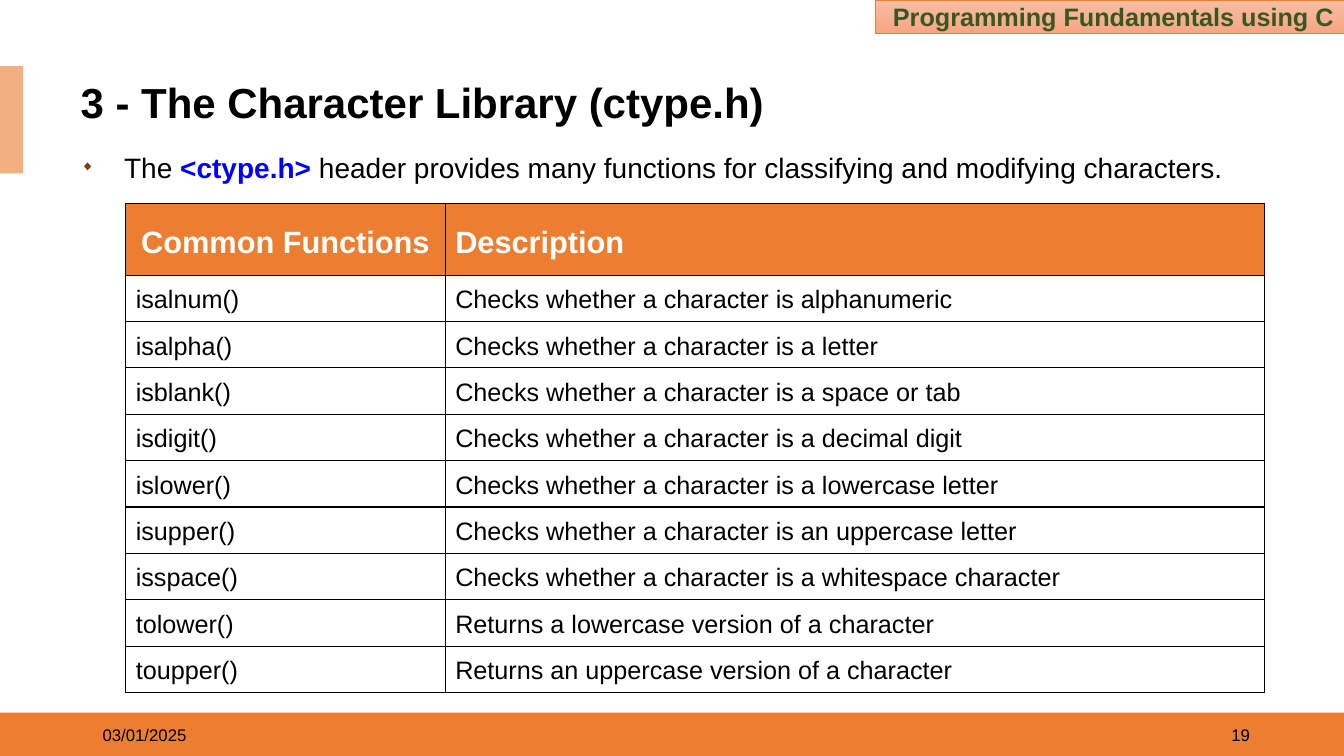
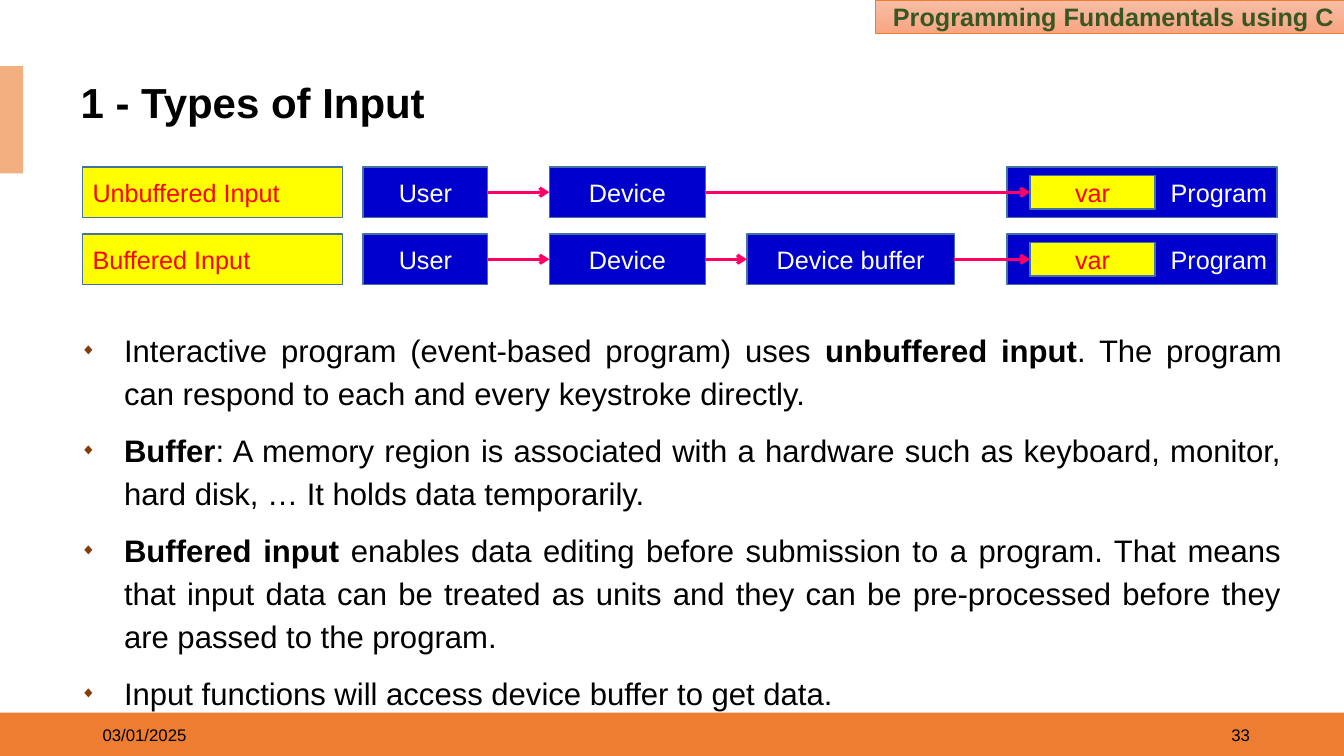
from dataclasses import dataclass
from itertools import product

from lxml import etree
from pptx import Presentation
from pptx.dml.color import RGBColor
from pptx.enum.shapes import MSO_CONNECTOR, MSO_SHAPE
from pptx.enum.text import MSO_ANCHOR, MSO_AUTO_SIZE, PP_ALIGN
from pptx.oxml.ns import qn
from pptx.util import Pt


@dataclass(frozen=True)
class Theme:
    font: str = "Arial"
    black: str = "000000"
    white: str = "FFFFFF"
    orange: str = "ED7D31"
    accent: str = "F4AF80"
    banner: tuple = ("F7BDA5", "F8A582")
    green: str = "385723"
    bullet: str = "843C0B"
    code: str = "0000FF"
    box: str = "0000CC"
    box_line: str = "43739E"
    yellow: str = "FFFF00"
    red: str = "FF0000"
    arrow: str = "FF0066"
    title_size: float = 30
    head_size: float = 22
    label_size: float = 18
    footer_size: float = 12


T = Theme()

# Content
COURSE = "Programming Fundamentals using C"
DATE = "03/01/2025"
BOLD = {"bold": True}

LIBRARY = {
    "title": "3 - The Character Library (ctype.h)",
    "number": "19",
    "body": [["The ", ("<ctype.h> ", {"bold": True, "color": T.code}),
              "header provides many functions for classifying and modifying characters."]],
    "format": {"size": 20, "spacing": 1.3},
    "area": (96.5, 403),
}
FUNCTIONS = [
    ("Common Functions", "Description"),
    ("isalnum()", "Checks whether a character is alphanumeric"),
    ("isalpha()", "Checks whether a character is a letter"),
    ("isblank()", "Checks whether a character is a space or tab"),
    ("isdigit()", "Checks whether a character is a decimal digit"),
    ("islower()", "Checks whether a character is a lowercase letter"),
    ("isupper()", "Checks whether a character is an uppercase letter"),
    ("isspace()", "Checks whether a character is a whitespace character"),
    ("tolower()", "Returns a lowercase version of a character"),
    ("toupper()", "Returns an uppercase version of a character"),
]

INPUT = {
    "title": "1 - Types of Input",
    "number": "33",
    "body": [
        ["Interactive program (event-based program) uses ", ("unbuffered input", BOLD),
         ". The program can respond to each and every keystroke directly."],
        [("Buffer", BOLD), ": A memory region is associated with a hardware such as keyboard, "
         "monitor, hard disk, … It holds data temporarily."],
        [("Buffered input", BOLD), " enables data editing before submission to a program. "
         "That means that input data can be treated as units and they can be pre-processed "
         "before they are passed to the program."],
        ["Input functions will access device buffer to get data."],
    ],
    "format": {"size": 22.2, "spacing": 1.15},
    "area": (229.5, 277),
}
# Left edge and width of each stage of the diagram
STAGES = {
    "User": (259.2, 89.3),
    "Device": (392.4, 111.6),
    "Device buffer": (533.5, 148.3),
    "Program": (719.3, 193),
    "var": (735.8, 89.3),
}
FLOWS = [
    ("Unbuffered Input", ["User", "Device", "Program", "var"]),
    ("Buffered Input", ["User", "Device", "Device buffer", "Program", "var"]),
]


def rgb(value):
    return RGBColor.from_string(value)


def write(tf, paragraphs, size=T.label_size, color=T.black, bold=False,
          align=PP_ALIGN.LEFT, anchor=MSO_ANCHOR.MIDDLE, spacing=1.0, before=0, bullet=False):
    """Fill a text frame; a run is a string or a (string, overrides) pair."""
    tf.word_wrap = True
    tf.vertical_anchor = anchor
    for i, runs in enumerate(paragraphs):
        p = tf.paragraphs[0] if i == 0 else tf.add_paragraph()
        p.alignment, p.line_spacing = align, spacing
        p.space_before = Pt(before if i else 0)
        if bullet:
            add_bullet(p)
        for item in runs:
            text, change = (item, {}) if isinstance(item, str) else item
            r = p.add_run()
            r.text = text
            r.font.name, r.font.size = T.font, Pt(size)
            r.font.bold = change.get("bold", bold)
            r.font.color.rgb = rgb(change.get("color", color))


def add_bullet(p):
    pPr = p._p.get_or_add_pPr()
    pPr.set("marL", str(Pt(31)))
    pPr.set("indent", str(-Pt(31)))
    color = etree.SubElement(pPr, qn("a:buClr"))
    etree.SubElement(color, qn("a:srgbClr"), val=T.bullet)
    etree.SubElement(pPr, qn("a:buSzPct"), val="50000")
    etree.SubElement(pPr, qn("a:buFont"), typeface=T.font)
    etree.SubElement(pPr, qn("a:buChar"), char="◆")


def place(shape, *box):
    shape.left, shape.top, shape.width, shape.height = map(Pt, box)


def add_box(s, box, fill, line=None, width=1, text=None, **fmt):
    sp = s.shapes.add_shape(MSO_SHAPE.RECTANGLE, *map(Pt, box))
    sp.shadow.inherit = False
    if isinstance(fill, tuple):
        sp.fill.gradient()
        sp.fill.gradient_angle = 270
        for stop, color in zip(sp.fill.gradient_stops, fill):
            stop.color.rgb = rgb(color)
    else:
        sp.fill.solid()
        sp.fill.fore_color.rgb = rgb(fill)
    if line:
        sp.line.color.rgb = rgb(line)
        sp.line.width = Pt(width)
    else:
        sp.line.fill.background()
    if text:
        write(sp.text_frame, [[text]], **fmt)
    return sp


def add_arrow(s, x1, x2, y):
    c = s.shapes.add_connector(MSO_CONNECTOR.STRAIGHT, Pt(x1), Pt(y), Pt(x2), Pt(y))
    c.line.color.rgb = rgb(T.arrow)
    c.line.width = Pt(2.25)
    spPr = c.element.spPr
    etree.SubElement(spPr.find(qn("a:ln")), qn("a:tailEnd"), type="arrow")
    etree.SubElement(spPr, qn("a:effectLst"))


def dress_layout(layout, s):
    """Move the shared bands, drawn on a slide, to the layout."""
    for ph in list(layout.placeholders):
        if ph.placeholder_format.idx > 1:
            ph.element.getparent().remove(ph.element)
    place(layout.placeholders[0], 50.4, 57, 872.6, 36.5)
    bands = [
        add_box(s, (0, 509, 960, 31), T.orange),
        add_box(s, (0, 47.3, 16.5, 76.5), T.accent),
        add_box(s, (625.5, 0, 334.5, 24), T.banner, line=T.orange, width=0.5, text=COURSE,
                color=T.green, bold=True, align=PP_ALIGN.RIGHT),
    ]
    for band in bands:
        layout.shapes.element.append(band.element)


def fill_slide(s, content):
    """Title, bulleted body, date and slide number."""
    write(s.shapes.title.text_frame, [[content["title"]]], size=T.title_size, bold=True,
          spacing=0.9)
    body = s.placeholders[1]
    top, height = content["area"]
    place(body, 50.4, top, 872.6, height)
    write(body.text_frame, content["body"], align=PP_ALIGN.JUSTIFY, anchor=MSO_ANCHOR.TOP,
          before=10, bullet=True, **content["format"])
    for ph in (s.shapes.title, body):
        ph.text_frame.auto_size = MSO_AUTO_SIZE.NONE
    for left, text, align in ((66.2, DATE, PP_ALIGN.LEFT),
                              (684, content["number"], PP_ALIGN.RIGHT)):
        box = s.shapes.add_textbox(Pt(left), Pt(510.5), Pt(216), Pt(28.8))
        write(box.text_frame, [[text]], size=T.footer_size, align=align)


def set_borders(cell):
    tcPr = cell._tc.get_or_add_tcPr()
    for side in ("lnL", "lnR", "lnT", "lnB"):
        ln = etree.SubElement(tcPr, qn(f"a:{side}"), w=str(Pt(1)))
        fill = etree.SubElement(ln, qn("a:solidFill"))
        etree.SubElement(fill, qn("a:srgbClr"), val=T.black)


def add_function_table(s):
    widths = (228.2, 585.4)
    heights = [51] + [32.9] * (len(FUNCTIONS) - 1)
    table = s.shapes.add_table(len(heights), len(widths), Pt(89.8), Pt(145.5),
                               Pt(sum(widths)), Pt(sum(heights))).table
    table.first_row = table.horz_banding = False
    for column, width in zip(table.columns, widths):
        column.width = Pt(width)
    for row, height in zip(table.rows, heights):
        row.height = Pt(height)
    for i, j in product(range(len(heights)), range(len(widths))):
        cell = table.cell(i, j)
        head = i == 0
        set_borders(cell)
        cell.fill.solid()
        cell.fill.fore_color.rgb = rgb(T.orange if head else T.white)
        anchor = MSO_ANCHOR.MIDDLE if head else MSO_ANCHOR.TOP
        write(cell.text_frame, [[FUNCTIONS[i][j]]], bold=head, spacing=1.2,
              size=T.head_size if head else T.label_size,
              color=T.white if head else T.black,
              align=PP_ALIGN.CENTER if head and j == 0 else PP_ALIGN.LEFT)
        cell.vertical_anchor = anchor


def add_flow_diagram(s):
    height, pitch, inset = 36, 47.9, 6
    for i, (label, names) in enumerate(FLOWS):
        top = 119.3 + i * pitch
        add_box(s, (59, top, 185.8, height), T.yellow, T.box_line, text=label, color=T.red)
        for name in names:
            left, width = STAGES[name]
            inner = name == "var"
            pad = inset if inner else 0
            add_box(s, (left, top + pad, width, height - 2 * pad),
                    T.yellow if inner else T.box, T.box_line, text=name,
                    color=T.red if inner else T.white,
                    align=PP_ALIGN.RIGHT if name == "Program" else PP_ALIGN.CENTER)
        # Arrows run past the program's edge to its variable
        stops = [STAGES[name] for name in names if name != "Program"]
        for (left, width), (target, _) in zip(stops, stops[1:]):
            add_arrow(s, left + width, target, top + height / 2)


def main():
    prs = Presentation()
    prs.slide_width, prs.slide_height = Pt(960), Pt(540)
    layout = prs.slide_layouts[1]
    pages = ((LIBRARY, add_function_table), (INPUT, add_flow_diagram))
    for i, (content, draw) in enumerate(pages):
        s = prs.slides.add_slide(layout)
        if i == 0:
            dress_layout(layout, s)
        fill_slide(s, content)
        draw(s)
    prs.save("out.pptx")


if __name__ == "__main__":
    main()
